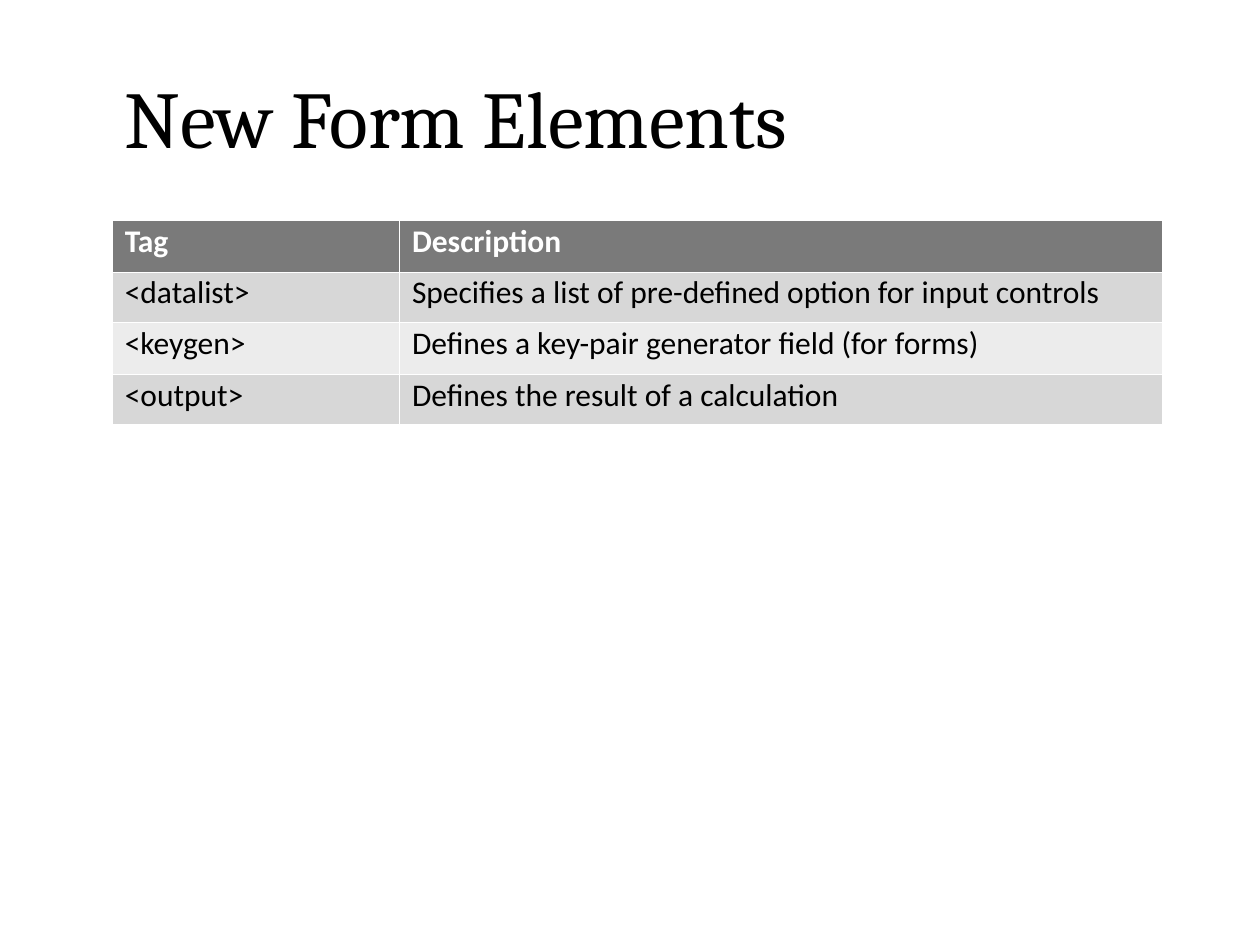
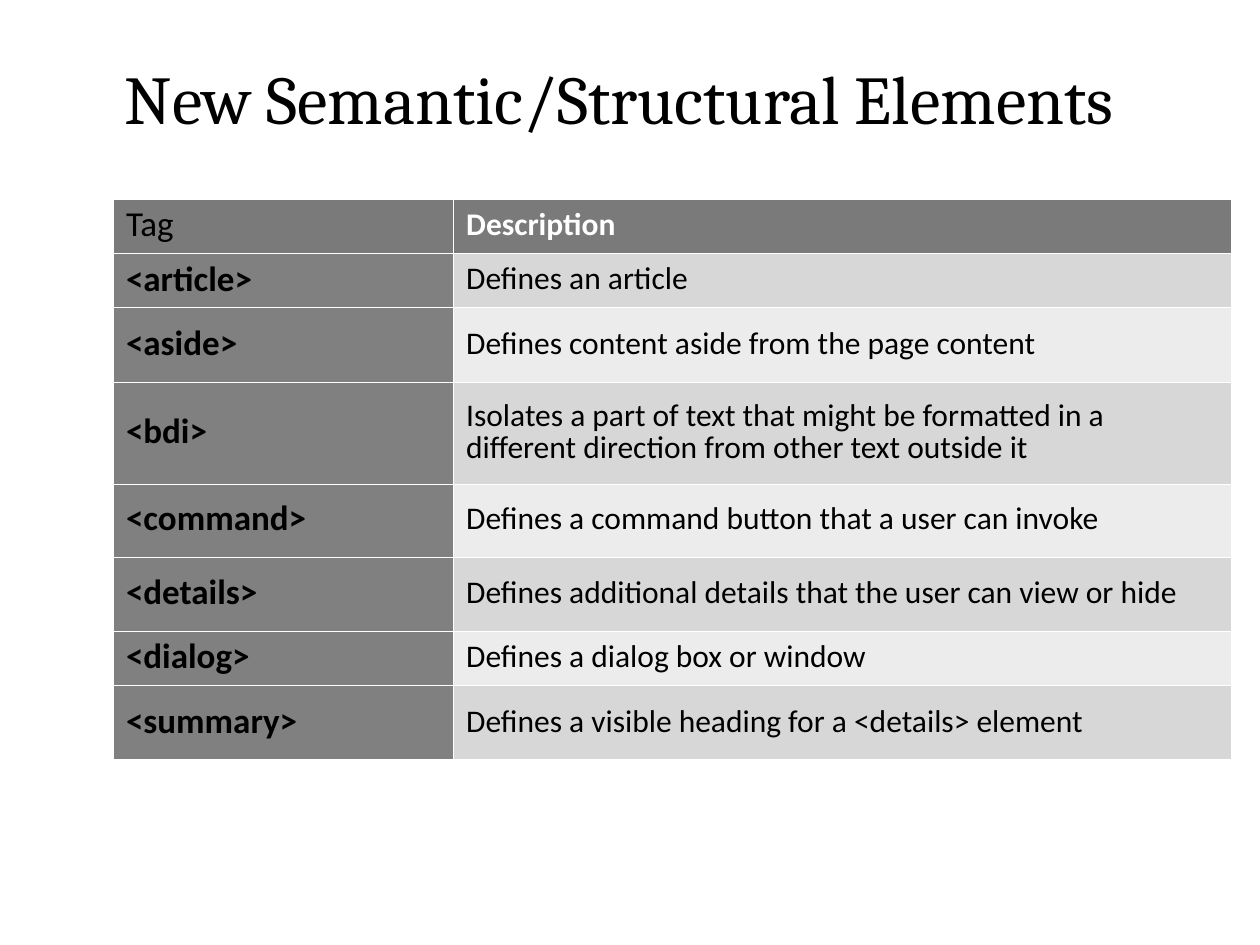
from lxml.etree import SubElement
from pptx import Presentation
from pptx.dml.color import RGBColor
from pptx.enum.text import MSO_ANCHOR as Anchor, MSO_AUTO_SIZE as AutoSize, PP_ALIGN as Align
from pptx.oxml.ns import qn
from pptx.util import Inches, Pt

BLACK = RGBColor(0x00, 0x00, 0x00)
WHITE = RGBColor(0xFF, 0xFF, 0xFF)
HEADER_GRAY = RGBColor(0x7A, 0x7A, 0x7A)
TAG_GRAY = RGBColor(0x80, 0x80, 0x80)
BANDS = (RGBColor(0xD7, 0xD7, 0xD7), RGBColor(0xEC, 0xEC, 0xEC))
TITLE_FONT = "Cambria"
BODY_FONT = "Calibri"
THIN, THICK = 0.23, 0.75

FORM_ELEMENTS = [
    ("Tag", "Description"),
    ("<datalist>", "Specifies a list of pre-defined option for input controls"),
    ("<keygen>", "Defines a key-pair generator field (for forms)"),
    ("<output>", "Defines the result of a calculation"),
]
SEMANTIC_ELEMENTS = [
    ("Tag", "Description"),
    ("<article>", "Defines an article"),
    ("<aside>", "Defines content aside from the page content"),
    ("<bdi>", "Isolates a part of text that might be formatted in a "
              "different direction from other text outside it"),
    ("<command>", "Defines a command button that a user can invoke"),
    ("<details>", "Defines additional details that the user can view or hide"),
    ("<dialog>", "Defines a dialog box or window"),
    ("<summary>", "Defines a visible heading for a <details> element"),
]


def write_text(frame, text, font=BODY_FONT, size=18, color=BLACK, bold=False, spacing=0.83):
    """Fill a text frame with one formatted paragraph."""
    frame.word_wrap = True
    paragraph = frame.paragraphs[0]
    paragraph.alignment = Align.LEFT
    paragraph.line_spacing = spacing
    run = paragraph.add_run()
    run.text = text
    run.font.name = font
    run.font.size = Pt(size)
    run.font.bold = bold
    run.font.color.rgb = color


def draw_borders(cell, top, bottom):
    """Give a cell white borders of the stated widths in points."""
    properties = cell._tc.get_or_add_tcPr()
    for side, width in (("L", THIN), ("R", THIN), ("T", top), ("B", bottom)):
        line = SubElement(properties, qn(f"a:ln{side}"), w=str(int(Pt(width))))
        fill = SubElement(line, qn("a:solidFill"))
        SubElement(fill, qn("a:srgbClr"), val=str(WHITE))


class Deck:
    """Hold the shared style and the current slide."""

    def __init__(self):
        """Start an empty 4:3 presentation."""
        self.presentation = Presentation()
        self.presentation.slide_width = Inches(10)
        self.presentation.slide_height = Inches(7.5)
        self.slide = None

    def add_slide(self, title, top, size, spacing):
        """Add a slide and format its title."""
        self.slide = self.presentation.slides.add_slide(self.presentation.slide_layouts[5])
        shape = self.slide.shapes.title
        shape.left, shape.top = Inches(0.89), Inches(top)
        shape.width, shape.height = Inches(8.33), Inches(1.25)
        frame = shape.text_frame
        frame.auto_size = AutoSize.NONE
        frame.vertical_anchor = Anchor.MIDDLE
        write_text(frame, title, font=TITLE_FONT, size=size, spacing=spacing)

    def add_table(self, rows, left, top, widths, heights, tag_column=False):
        """Add a banded table, optionally with a highlighted tag column."""
        table = self.slide.shapes.add_table(
            len(rows), len(widths), Inches(left), Inches(top),
            Inches(sum(widths)), Inches(sum(heights))).table
        table.first_row = table.horz_banding = False
        for column, width in zip(table.columns, widths):
            column.width = Inches(width)
        for row, height in zip(table.rows, heights):
            row.height = Inches(height)
        for row_index, texts in enumerate(rows):
            for column_index, text in enumerate(texts):
                is_header = row_index == 0
                is_tag = tag_column and column_index == 0
                cell = table.cell(row_index, column_index)
                cell.vertical_anchor = Anchor.MIDDLE if tag_column else Anchor.TOP
                draw_borders(cell, top=THICK if row_index == 1 else THIN,
                             bottom=THICK if is_header else THIN)
                cell.fill.solid()
                if is_header:
                    cell.fill.fore_color.rgb = HEADER_GRAY
                elif is_tag:
                    cell.fill.fore_color.rgb = TAG_GRAY
                else:
                    cell.fill.fore_color.rgb = BANDS[(row_index - 1) % 2]
                write_text(cell.text_frame, text, size=20 if is_tag else 18,
                           color=WHITE if is_header and not is_tag else BLACK,
                           bold=is_header != is_tag)

    def save(self):
        """Write the presentation."""
        self.presentation.save("out.pptx")


def main():
    """Build both slides."""
    deck = Deck()
    deck.add_slide("New Form Elements", top=0.3, size=46, spacing=1.0)
    deck.add_table(FORM_ELEMENTS, 0.89, 1.75, (2.28, 6.05), (0.41, 0.4, 0.41, 0.4))
    deck.add_slide("New Semantic/Structural Elements", top=0.19, size=39.1, spacing=0.9)
    deck.add_table(SEMANTIC_ELEMENTS, 0.9, 1.58, (2.7, 6.17),
                   (0.43, 0.43, 0.59, 0.81, 0.58, 0.59, 0.43, 0.59), tag_column=True)
    deck.save()


if __name__ == "__main__":
    main()
